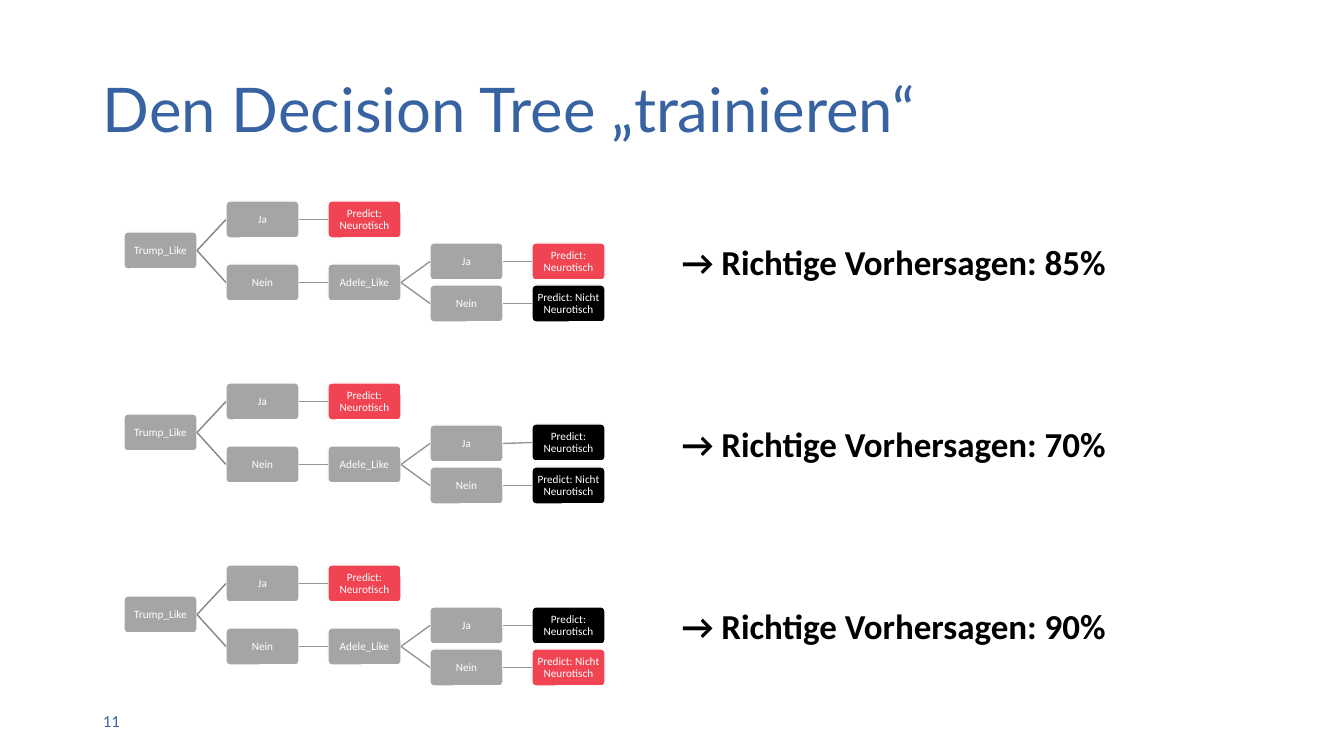
from dataclasses import dataclass

from pptx import Presentation
from pptx.dml.color import RGBColor
from pptx.enum.shapes import MSO_CONNECTOR, MSO_SHAPE
from pptx.enum.text import MSO_ANCHOR, PP_ALIGN
from pptx.oxml.ns import qn
from pptx.shapes.autoshape import Shape
from pptx.slide import Slide
from pptx.util import Emu, Pt

ROUND = MSO_SHAPE.ROUNDED_RECTANGLE
LINE = MSO_CONNECTOR.STRAIGHT
MIDDLE, TOP = MSO_ANCHOR.MIDDLE, MSO_ANCHOR.TOP
LEFT, CENTER = PP_ALIGN.LEFT, PP_ALIGN.CENTER
WEST, EAST = 1, 3

# Grid in px
WIDE, HIGH = 1344, 756
SCALE = 12192000 / WIDE
EDGE, TREE_X, TREE_Y = 93, 124, 201
COL, ROW = 102, 182
BOX_W, BOX_H = 73, 37


@dataclass(frozen=True)
class Theme:
    blue: str = "3863A2"
    gray: str = "A5A5A5"
    red: str = "F04452"
    black: str = "000000"
    white: str = "FFFFFF"
    fork: str = "848484"
    link: str = "969696"
    head: str = "Lato"
    body: str = "Calibri"
    title: int = 44
    result: int = 25
    page: int = 12
    node: int = 8


@dataclass(frozen=True)
class Node:
    name: str
    text: str
    col: int
    y: int
    root: str = ""


@dataclass(frozen=True)
class Tree:
    score: int
    fills: dict[str, str]
    lift: int = 0


THEME = Theme()

NODES = [
    Node("trump", "Trump_Like", 0, 31),
    Node("yes", "Ja", 1, 0, "trump"),
    Node("leaf", "Predict: Neurotisch", 2, 0, "yes"),
    Node("no", "Nein", 1, 63, "trump"),
    Node("adele", "Adele_Like", 2, 63, "no"),
    Node("yes2", "Ja", 3, 42, "adele"),
    Node("leaf2", "Predict: Neurotisch", 4, 42, "yes2"),
    Node("no2", "Nein", 3, 84, "adele"),
    Node("leaf3", "Predict: Nicht Neurotisch", 4, 84, "no2"),
]

TREES = [
    Tree(85, {"leaf": THEME.red, "leaf2": THEME.red, "leaf3": THEME.black}),
    Tree(70, {"leaf": THEME.red, "leaf2": THEME.black, "leaf3": THEME.black}, lift=1),
    Tree(90, {"leaf": THEME.red, "leaf2": THEME.black, "leaf3": THEME.red}),
]


def px(size: int) -> Emu:
    return Emu(round(size * SCALE))


def paint(part, hue: str) -> None:
    part.fill.solid()
    part.fill.fore_color.rgb = RGBColor.from_string(hue)


def write(shape: Shape, text: str, hue: str, size: int, face: str = THEME.body,
          bold: bool = False, align: PP_ALIGN = LEFT, lead: float = 1.0,
          anchor: MSO_ANCHOR = MIDDLE) -> None:
    frame = shape.text_frame
    frame.word_wrap = True
    frame.vertical_anchor = anchor
    para = frame.paragraphs[0]
    run = para.add_run()
    run.text = text
    for item, form in (
        (para, {"alignment": align, "line_spacing": lead}),
        (run.font, {"name": face, "size": Pt(size), "bold": bold}),
    ):
        for key, value in form.items():
            setattr(item, key, value)
    run.font.color.rgb = RGBColor.from_string(hue)


def add_text(slide: Slide, x: int, y: int, w: int, h: int) -> Shape:
    return slide.shapes.add_textbox(px(x), px(y), px(w), px(h))


def add_node(slide: Slide, node: Node, x: int, y: int, hue: str) -> Shape:
    box = slide.shapes.add_shape(ROUND, px(x), px(y), px(BOX_W), px(BOX_H))
    box.shadow.inherit = False
    box.adjustments[0] = 0.1
    paint(box, hue)
    paint(box.line, THEME.white)
    box.line.width = Pt(1)
    for side in ("left", "top", "right", "bottom"):
        setattr(box.text_frame, f"margin_{side}", px(1))
    write(box, node.text, THEME.white, THEME.node, align=CENTER, lead=0.9)
    return box


def add_link(slide: Slide, start: Shape, end: Shape, hue: str) -> None:
    link = slide.shapes.add_connector(LINE, start.left, start.top, end.left, end.top)
    link.begin_connect(start, EAST)
    link.end_connect(end, WEST)
    paint(link.line, hue)
    link.line.width = Pt(1)
    props = link._element.spPr
    props.append(props.makeelement(qn("a:effectLst"), {}))


def add_tree(slide: Slide, tree: Tree, top: int) -> None:
    boxes: dict[str, Shape] = {}
    for node in NODES:
        rise = tree.lift if node.name == "leaf2" else 0
        hue = tree.fills.get(node.name, THEME.gray)
        box = add_node(slide, node, TREE_X + COL * node.col, top + node.y - rise, hue)
        boxes[node.name] = box
        if node.root:
            tone = THEME.fork if node.root == "trump" else THEME.link
            add_link(slide, boxes[node.root], box, tone)


def main() -> None:
    deck = Presentation()
    deck.slide_width, deck.slide_height = px(WIDE), px(HIGH)
    slide = deck.slides.add_slide(deck.slide_layouts[6])

    # Title
    title = add_text(slide, EDGE, 40, 1159, 146)
    write(title, "Den Decision Tree „trainieren“", THEME.blue, THEME.title,
          face=THEME.head, lead=0.9)

    # Trees with their results
    for i, tree in enumerate(TREES):
        top = TREE_Y + ROW * i
        add_tree(slide, tree, top)
        result = add_text(slide, 672, top + 35, 514, 52)
        write(result, f"→ Richtige Vorhersagen: {tree.score}%", THEME.black,
              THEME.result, bold=True, anchor=TOP)

    # Page number
    write(add_text(slide, EDGE, 701, 302, 40), "11", THEME.blue, THEME.page)

    deck.save("out.pptx")


if __name__ == "__main__":
    main()
